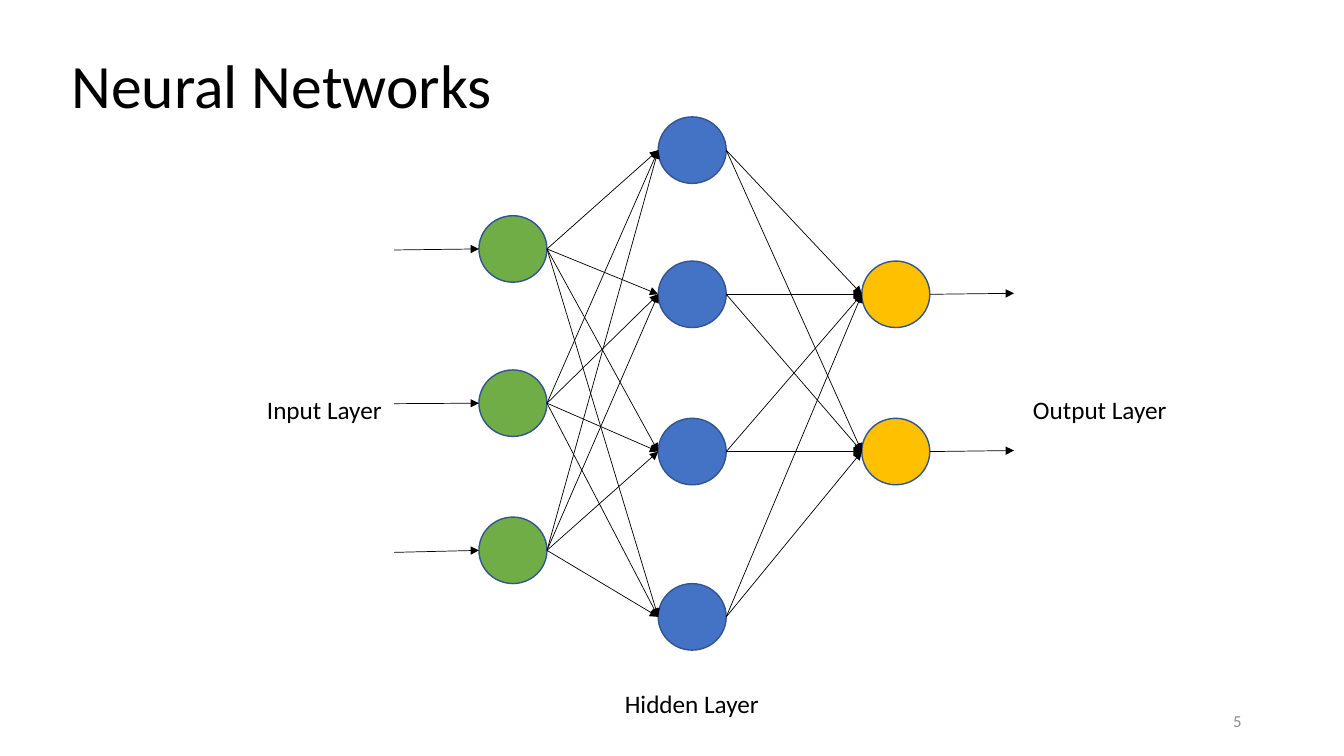
from dataclasses import dataclass
from itertools import product
from lxml.etree import SubElement
from pptx import Presentation
from pptx.dml.color import RGBColor as Rgb
from pptx.enum.shapes import MSO_CONNECTOR as Link, MSO_SHAPE as Form
from pptx.enum.text import MSO_ANCHOR as Anchor, MSO_AUTO_SIZE as Fit, PP_ALIGN as Align
from pptx.oxml.ns import qn
from pptx.util import Inches, Pt


@dataclass(frozen=True)
class Theme:
    font: str = "Calibri"
    ink: str = "000000"
    grey: str = "8C8C8C"
    edge: str = "325491"
    green: str = "70AD47"
    blue: str = "4472C4"
    gold: str = "FFC000"
    title: int = 44
    label: int = 18
    small: int = 12
    rim: float = 1
    thin: float = 0.5


THEME = Theme()
WIDE, HIGH = Inches(13.333), Inches(7.5)
COLS, ROWS = 160, 90  # square grid cells
NODE_W, NODE_H = 8.1, 7.92


def col(n):
    return round(WIDE * n / COLS)


def row(n):
    return round(HIGH * n / ROWS)


def place(box):
    x, y, w, h = box
    return col(x), row(y), col(w), row(h)


def write(shape, text, size=THEME.label, color=THEME.ink, align=Align.LEFT,
          anchor=Anchor.TOP, wrap=True, fit=Fit.NONE, space=1.0):
    frame = shape.text_frame
    frame.word_wrap, frame.auto_size = wrap, fit
    frame.vertical_anchor = anchor
    para = frame.paragraphs[0]
    para.alignment, para.line_spacing = align, space
    run = para.add_run()
    run.text = text
    run.font.name, run.font.size = THEME.font, Pt(size)
    run.font.color.rgb = Rgb.from_string(color)


def node(slide, x, y, fill):
    dot = slide.shapes.add_shape(Form.FLOWCHART_CONNECTOR, *place((x, y, NODE_W, NODE_H)))
    dot.shadow.inherit = False
    dot.fill.solid()
    dot.fill.fore_color.rgb = Rgb.from_string(fill)
    dot.line.color.rgb = Rgb.from_string(THEME.edge)
    dot.line.width = Pt(THEME.rim)


def arrow(slide, start, end):
    line = slide.shapes.add_connector(
        Link.STRAIGHT, col(start[0]), row(start[1]), col(end[0]), row(end[1]))
    line.line.color.rgb = Rgb.from_string(THEME.ink)
    line.line.width = Pt(THEME.thin)
    SubElement(line.line._get_or_add_ln(), qn("a:tailEnd"), type="triangle")
    SubElement(line._element.spPr, qn("a:effectLst"))


def header(slide, box):
    title = slide.shapes.title
    title.left, title.top, title.width, title.height = place(box)
    write(title, "Neural Networks", size=THEME.title, anchor=Anchor.MIDDLE, space=0.9)


def network(slide, box):
    left, top, width, _ = box
    # Each layer: column, rows of its nodes, fill
    layers = [
        (10.1, (11.76, 30.12, 47.64), THEME.green),
        (31.44, (0, 17.16, 35.88, 55.56), THEME.blue),
        (55.68, (17.16, 35.88), THEME.gold),
    ]
    ports = []
    for x, tops, fill in layers:
        for y in tops:
            node(slide, left + x, top + y, fill)
        mids = [top + y + NODE_H / 2 for y in tops]
        ports.append(([(left + x, y) for y in mids],
                      [(left + x + NODE_W, y) for y in mids]))

    # Every node feeds every node of the next layer
    for (_, outs), (ins, _) in zip(ports, ports[1:]):
        for start, end in product(outs, ins):
            arrow(slide, start, end)

    # Arrows into and out of the network, with a slight slope
    for (x, y), slope in zip(ports[0][0], (0.12, 0.06, 0.24)):
        arrow(slide, (left, y + slope), (x, y))
    for x, y in ports[-1][1]:
        arrow(slide, (x, y), (left + width, y - 0.12))


def label(slide, box, text):
    write(slide.shapes.add_textbox(*place(box)), text, wrap=False, fit=Fit.SHAPE_TO_FIT_TEXT)


def footer(slide, box):
    write(slide.shapes.add_textbox(*place(box)), "5", size=THEME.small,
          color=THEME.grey, align=Align.RIGHT, anchor=Anchor.MIDDLE)


def main():
    deck = Presentation()
    deck.slide_width, deck.slide_height = WIDE, HIGH
    slide = deck.slides.add_slide(deck.slide_layouts[5])
    header(slide, (7.32, 1.8, 138, 17.4))
    footer(slide, (113, 83.4, 36, 4.8))
    network(slide, (46.92, 13.92, 73.8, 63.48))
    label(slide, (30.6, 46.32, 16.2, 4.8), "Input Layer")
    label(slide, (121.8, 46.32, 18.48, 4.8), "Output Layer")
    label(slide, (73.2, 81.36, 18.6, 4.8), "Hidden Layer")
    deck.save("out.pptx")


if __name__ == "__main__":
    main()
